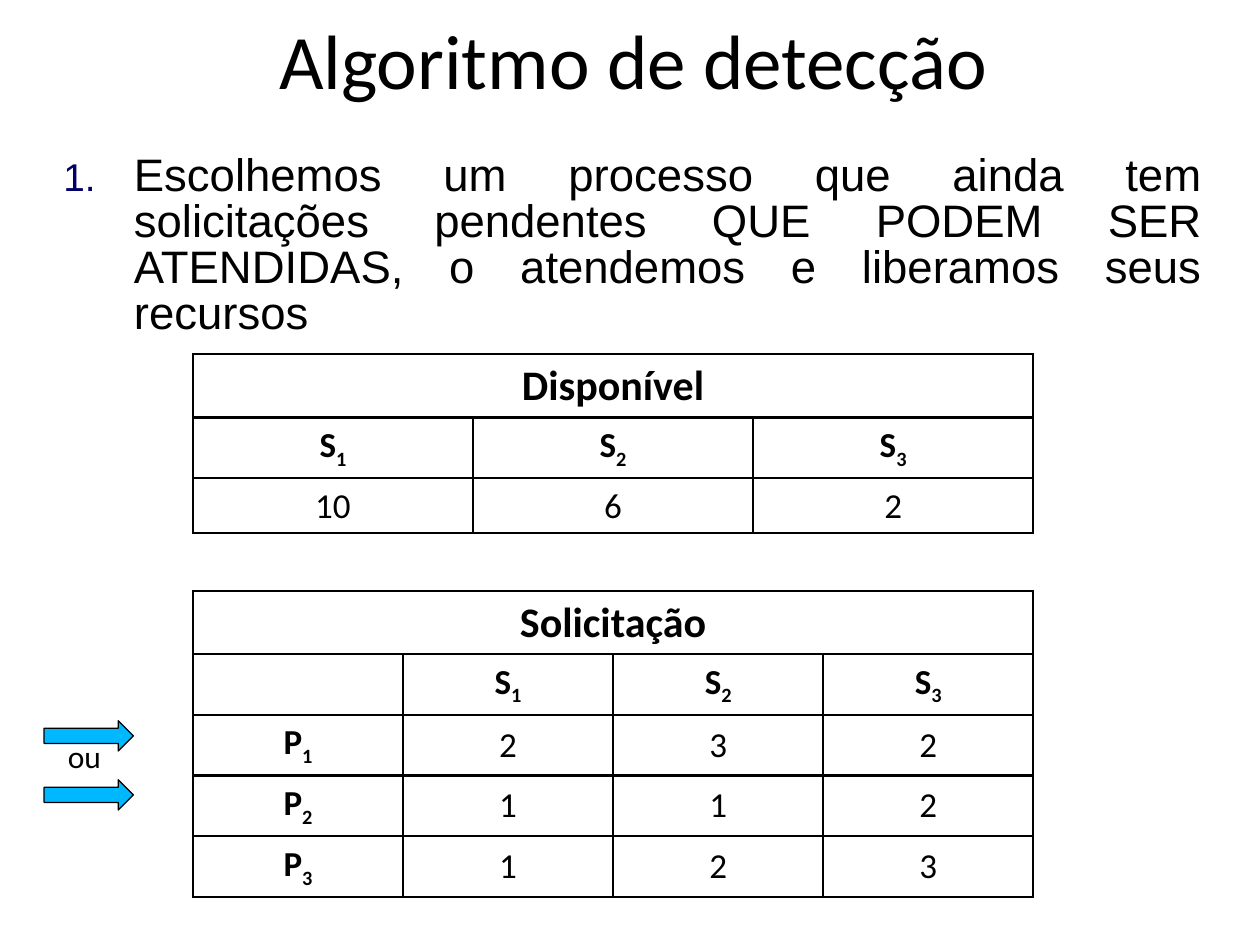
import pptx
import pptx.util
import pptx.dml.color
import pptx.enum.shapes
import pptx.enum.text
import pptx.oxml
import pptx.oxml.ns
import lxml.etree

Cm = pptx.util.Cm
Pt = pptx.util.Pt
ALIGN = pptx.enum.text.PP_ALIGN
MIDDLE = pptx.enum.text.MSO_ANCHOR.MIDDLE

COLORS = {"text": "000000", "number": "000066", "arrow": "00B8FF", "line": "000000"}
RESOURCES = ["S1", "S2", "S3"]


def color(name):
    return pptx.dml.color.RGBColor.from_string(COLORS[name])


def add_element(parent, tag, **attributes):
    return lxml.etree.SubElement(parent, pptx.oxml.ns.qn(tag), attributes)


class SlideBuilder:
    heading_font = "Calibri"
    body_font = "Arial"

    def __init__(self, slide):
        self.slide = slide

    def format_run(self, run, size, font=heading_font, bold=False):
        run.font.size = Pt(size)
        run.font.name = font
        run.font.bold = bold
        run.font.color.rgb = color("text")

    def title(self, text, left, top, width, height):
        box = self.slide.shapes.title
        box.left, box.top, box.width, box.height = map(Cm, (left, top, width, height))
        box.text_frame.text = text
        box.text_frame.vertical_anchor = MIDDLE
        para = box.text_frame.paragraphs[0]
        para.alignment = ALIGN.CENTER
        self.format_run(para.runs[0], 44)

    def text_box(self, text, left, top, width, height, size, font=heading_font, wrap=True):
        box = self.slide.shapes.add_textbox(*map(Cm, (left, top, width, height)))
        box.text_frame.word_wrap = wrap
        box.text_frame.text = text
        para = box.text_frame.paragraphs[0]
        self.format_run(para.runs[0], size, font)
        return para

    def numbered_text(self, text, left, top, width, height):
        para = self.text_box(text, left, top, width, height, 26, self.body_font)
        para.alignment = ALIGN.JUSTIFY
        para.line_spacing = 0.84
        properties = para._p.get_or_add_pPr()
        properties.set("marL", str(Cm(1.45)))
        properties.set("indent", str(Cm(-1.42)))
        bullet_color = add_element(properties, "a:buClr")
        add_element(bullet_color, "a:srgbClr", val=COLORS["number"])
        add_element(properties, "a:buSzPct", val="85000")
        add_element(properties, "a:buFont", typeface=self.body_font)
        add_element(properties, "a:buAutoNum", type="arabicPeriod")

    def arrow(self, left, top, width, height):
        shape = self.slide.shapes.add_shape(
            pptx.enum.shapes.MSO_SHAPE.RIGHT_ARROW, *map(Cm, (left, top, width, height)))
        shape.shadow.inherit = False
        shape.fill.solid()
        shape.fill.fore_color.rgb = color("arrow")
        shape.line.color.rgb = color("line")
        shape.line.width = Pt(0.75)

    def cell_borders(self, cell):
        properties = cell._tc.get_or_add_tcPr()
        for side in ("a:lnL", "a:lnR", "a:lnT", "a:lnB"):
            border = add_element(properties, side, w=str(Pt(1.5)))
            fill = add_element(border, "a:solidFill")
            add_element(fill, "a:srgbClr", val=COLORS["line"])

    def cell_text(self, cell, text, size):
        para = cell.text_frame.paragraphs[0]
        para.alignment = ALIGN.CENTER
        is_label = text[:1] in ("S", "P") and text[1:].isdigit()
        parts = list(text) if is_label else [text]
        for index, part in enumerate(parts):
            run = para.add_run()
            run.text = part
            self.format_run(run, size, bold=not text.isdigit())
            if index:
                run.font._element.set("baseline", "-25000")

    def table(self, heading, rows, left, top, width):
        column_count = len(rows[0])
        heights = [1.27] + [1.09] * len(rows)
        frame = self.slide.shapes.add_table(
            len(heights), column_count, Cm(left), Cm(top), Cm(width), Cm(sum(heights)))
        table = frame.table
        table.first_row = table.horz_banding = False
        for row, height in zip(table.rows, heights):
            row.height = Cm(height)
        for cell in table.iter_cells():
            cell.vertical_anchor = MIDDLE
            cell.margin_left = cell.margin_right = Cm(0.25)
            cell.margin_top = cell.margin_bottom = Cm(0.13)
            self.cell_borders(cell)
            cell.fill.background()
        table.cell(0, 0).merge(table.cell(0, column_count - 1))
        self.cell_text(table.cell(0, 0), heading, 24)
        for row_index, row in enumerate(rows, start=1):
            for column_index, text in enumerate(row):
                if text:
                    self.cell_text(table.cell(row_index, column_index), text, 20)


def main():
    deck = pptx.Presentation()
    deck.slide_width, deck.slide_height = Cm(25.4), Cm(19.05)
    page = SlideBuilder(deck.slides.add_slide(deck.slide_layouts[5]))
    page.title("Algoritmo de detecção", 1.02, 0.33, 23.5, 1.7)
    page.numbered_text(
        "Escolhemos um processo que ainda tem solicitações pendentes "
        "QUE PODEM SER ATENDIDAS, o atendemos e liberamos seus recursos",
        1, 3, 23.5, 3.8)
    page.table("Disponível", [RESOURCES, ["10", "6", "2"]], 3.89, 7.14, 16.94)
    requests = [["P1", "2", "3", "2"], ["P2", "1", "1", "2"], ["P3", "1", "2", "3"]]
    page.table("Solicitação", [[""] + RESOURCES] + requests, 3.89, 11.91, 16.94)
    for top in (14.53, 15.72):
        page.arrow(0.89, top, 1.8, 0.61)
    page.text_box("ou", 1.12, 14.73, 1.37, 1.03, 18, wrap=False)
    deck.save("out.pptx")


if __name__ == "__main__":
    main()
